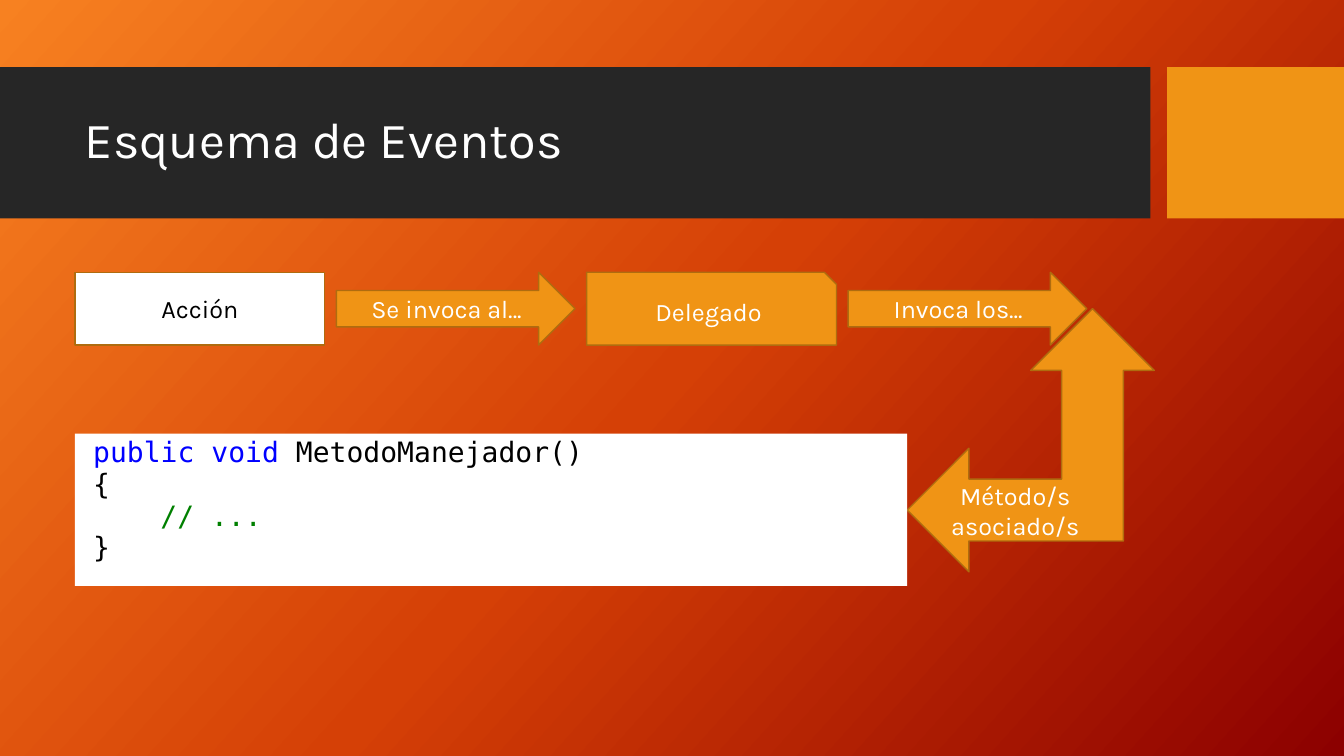
from copy import deepcopy

from pptx import Presentation
from pptx.dml.color import RGBColor
from pptx.enum import shapes, text
from pptx.oxml import ns
from pptx.util import Pt

WHITE = RGBColor(0xFF, 0xFF, 0xFF)
BLACK = RGBColor(0, 0, 0)
CHARCOAL = RGBColor(0x26, 0x26, 0x26)
AMBER = RGBColor(0xF0, 0x94, 0x15)
BROWN = RGBColor(0xAF, 0x6C, 0x0F)
KEYWORD_BLUE = RGBColor(0, 0, 0xFF)
COMMENT_GREEN = RGBColor(0, 0x80, 0)
GRADIENT = [
    (0, RGBColor(0xF7, 0x81, 0x21)),
    (0.5, RGBColor(0xD5, 0x40, 0x06)),
    (1, RGBColor(0x8C, 0, 0)),
]
BODY_FONT = "Karla"
CODE_FONT = "DejaVu Sans Mono"
KIND = shapes.MSO_SHAPE

presentation = Presentation()
presentation.slide_width = Pt(960)
presentation.slide_height = Pt(540)
slide = presentation.slides.add_slide(presentation.slide_layouts[6])


def add_block(kind, left, top, width, height, fill, line=None):
    shape = slide.shapes.add_shape(kind, Pt(left), Pt(top), Pt(width), Pt(height))
    shape.shadow.inherit = False
    shape.fill.solid()
    shape.fill.fore_color.rgb = fill
    if line is None:
        shape.line.fill.background()
    else:
        shape.line.color.rgb = line
        shape.line.width = Pt(1)
    return shape


def style_run(run, font, size, color):
    run.font.name = font
    run.font.size = Pt(size)
    run.font.color.rgb = color


# Background gradient with a middle stop
background = slide.background.fill
background.gradient()
background.gradient_angle = 318
stop_list = slide.element.find(".//" + ns.qn("a:gsLst"))
stop_list.insert(1, deepcopy(stop_list[0]))
for stop, (position, color) in zip(background.gradient_stops, GRADIENT):
    stop.position = position
    stop.color.rgb = color

# Title band
add_block(KIND.RECTANGLE, 0, 48, 821.75, 108, CHARCOAL)
add_block(KIND.RECTANGLE, 833.75, 48, 126.25, 108, AMBER)
title = slide.shapes.add_textbox(Pt(53.5), Pt(59), Pt(757), Pt(85))
title.text_frame.word_wrap = True
title.text_frame.vertical_anchor = text.MSO_ANCHOR.MIDDLE
title.text_frame.text = "Esquema de Eventos"
title_paragraph = title.text_frame.paragraphs[0]
title_paragraph.line_spacing = 0.9
style_run(title_paragraph.runs[0], BODY_FONT, 36, WHITE)

# Event flow: kind, left, top, width, height, fill, text colour, label
ROW_TOP, ROW_HEIGHT = 194.5, 52
BOX_WIDTH, ARROW_WIDTH = 178.5, 170.5
FLOW = [
    (KIND.RECTANGLE, 53.5, ROW_TOP, BOX_WIDTH, ROW_HEIGHT, WHITE, BLACK, "Acción"),
    (KIND.RIGHT_ARROW, 240.25, ROW_TOP, ARROW_WIDTH, ROW_HEIGHT, AMBER, WHITE, "Se invoca al..."),
    (KIND.SNIP_1_RECTANGLE, 419, ROW_TOP, BOX_WIDTH, ROW_HEIGHT, AMBER, WHITE, "Delegado"),
    (KIND.RIGHT_ARROW, 605.75, ROW_TOP, ARROW_WIDTH, ROW_HEIGHT, AMBER, WHITE, "Invoca los..."),
    (KIND.LEFT_UP_ARROW, 648, 220.5, 176.5, 188, AMBER, WHITE, "Método/s asociado/s"),
]
for kind, left, top, width, height, fill, text_color, label in FLOW:
    shape = add_block(kind, left, top, width, height, fill, BROWN)
    shape.text_frame.word_wrap = True
    shape.text_frame.vertical_anchor = text.MSO_ANCHOR.MIDDLE
    shape.text_frame.text = label
    paragraph = shape.text_frame.paragraphs[0]
    paragraph.alignment = text.PP_ALIGN.CENTER
    style_run(paragraph.runs[0], BODY_FONT, 18, text_color)

# Handler code: indent, then coloured pieces of each line
CODE_LINES = [
    (6, [("public void ", KEYWORD_BLUE), ("MetodoManejador()", BLACK)]),
    (6, [("{", BLACK)]),
    (54, [("// ...", COMMENT_GREEN)]),
    (6, [("}", BLACK)]),
]
code_box = add_block(KIND.RECTANGLE, 53.5, 309.75, 594.5, 108.75, WHITE)
code_frame = code_box.text_frame
code_frame.word_wrap = True
code_frame.vertical_anchor = text.MSO_ANCHOR.TOP
code_frame.text = "\n".join("".join(piece for piece, _ in pieces) for _, pieces in CODE_LINES)
for paragraph, (indent, pieces) in zip(code_frame.paragraphs, CODE_LINES):
    paragraph.alignment = text.PP_ALIGN.LEFT
    paragraph.line_spacing = 0.9
    paragraph.space_before = Pt(1)
    properties = paragraph._p.get_or_add_pPr()
    properties.set("marL", str(Pt(indent)))
    properties.set("indent", "0")
    paragraph.clear()
    for piece, color in pieces:
        run = paragraph.add_run()
        run.text = piece
        style_run(run, CODE_FONT, 20, color)

presentation.save("out.pptx")
